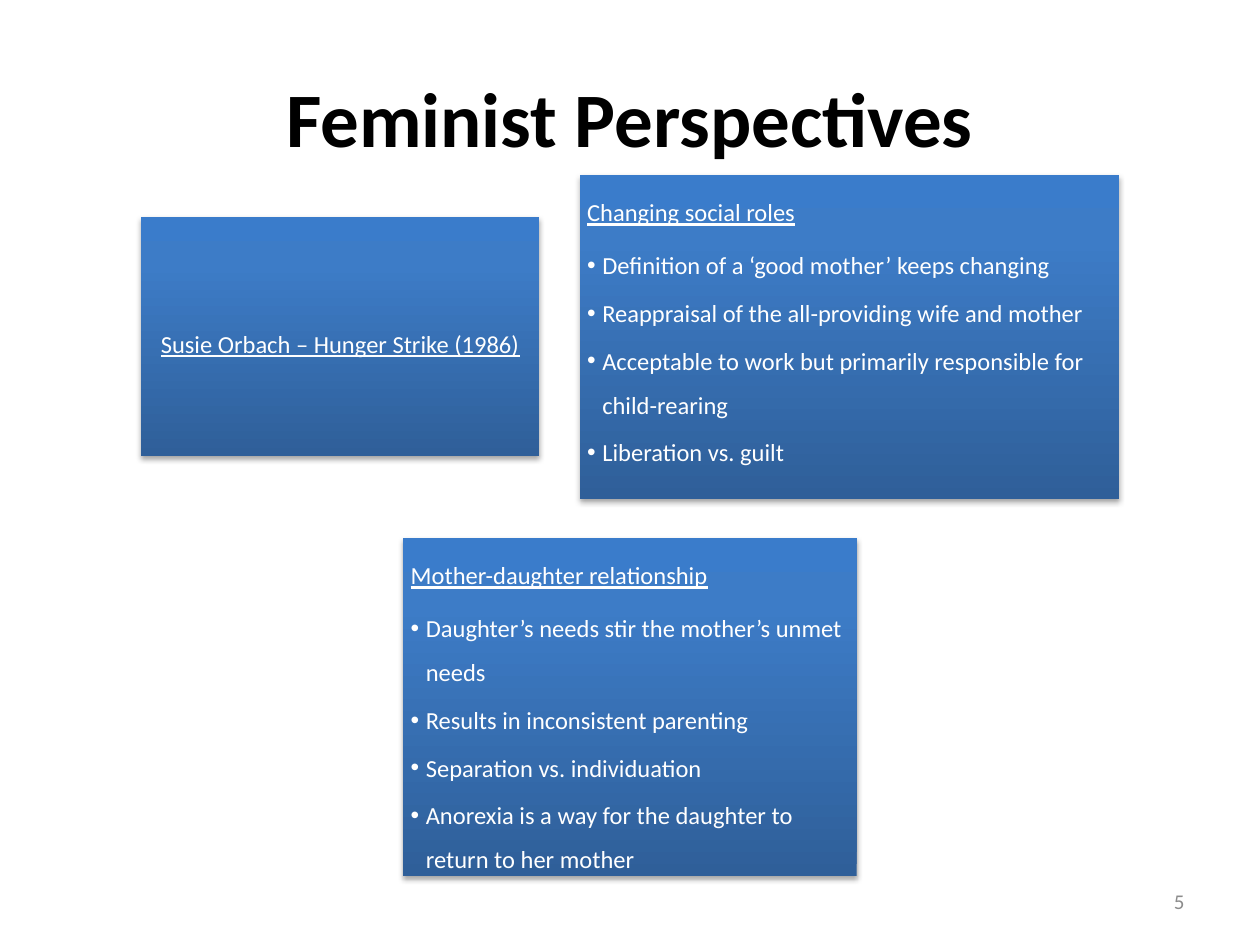
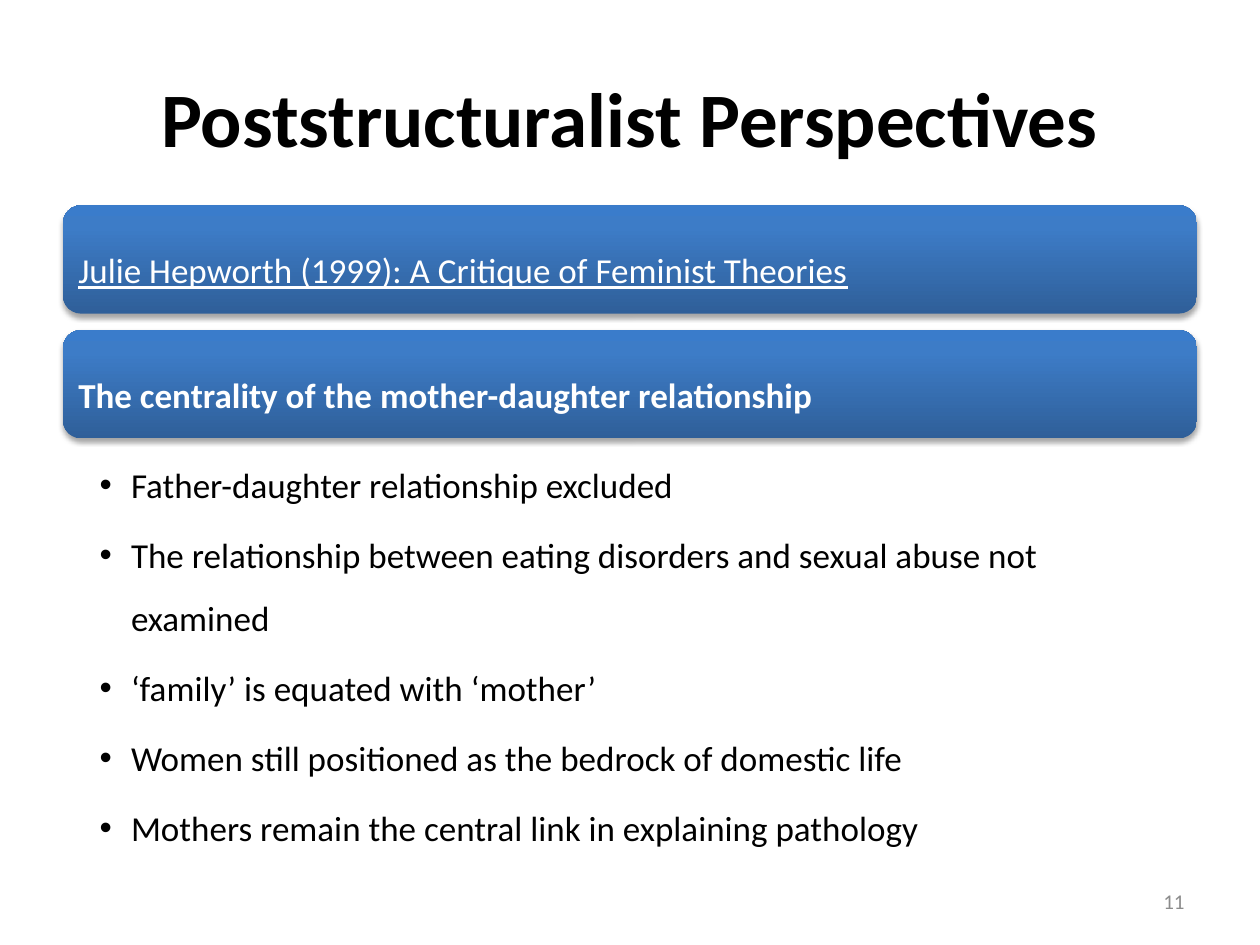
from copy import deepcopy
from dataclasses import dataclass

from pptx import Presentation
from pptx.dml.color import RGBColor
from pptx.enum.shapes import MSO_SHAPE
from pptx.enum.text import MSO_ANCHOR, PP_ALIGN
from pptx.oxml.ns import qn
from pptx.oxml.xmlchemy import OxmlElement
from pptx.util import Inches, Pt

RECT, ROUNDED = MSO_SHAPE.RECTANGLE, MSO_SHAPE.ROUNDED_RECTANGLE
TOP, MIDDLE = MSO_ANCHOR.TOP, MSO_ANCHOR.MIDDLE
LEFT, CENTER, RIGHT = PP_ALIGN.LEFT, PP_ALIGN.CENTER, PP_ALIGN.RIGHT

FONT = "Calibri"
COLORS = {
    "text": "000000",
    "white": "FFFFFF",
    "number": "8C8C8C",
    "shadow": "000000",
    "dark": "2F5F99",
    "mid": "3D7CC7",
    "bright": "3A7CCB",
}
GRADIENT = [(0, "dark"), (0.8, "mid"), (1, "bright")]


@dataclass
class Line:
    text: str
    size: float
    color: str = "white"
    bold: bool = False
    underline: bool = False
    align: int = LEFT
    spacing: float = 1
    after: float = 0  # share of the text size
    indent: float = 0  # inches; above zero gives a bullet


@dataclass
class Panel:
    left: float
    top: float
    width: float
    height: float
    lines: list[Line]
    anchor: int = TOP
    shape: int = RECT
    margin: float = 0.06


def heading(text: str, size: float, align=LEFT, bold: bool = False) -> Line:
    return Line(text, size, bold=bold, underline=not bold, align=align, spacing=1.5, after=0.35)


def bullets(texts: list[str], size: float, color: str, after: float, indent: float) -> list[Line]:
    return [Line(t, size, color, spacing=1.5, after=after, indent=indent) for t in texts]


def rgb(name: str) -> RGBColor:
    return RGBColor.from_string(COLORS[name])


def add_bullet(p, indent: float) -> None:
    p.level = 1
    pPr = p._p.get_or_add_pPr()
    pPr.set("marL", str(Inches(indent)))
    pPr.set("indent", str(-Inches(indent)))
    for tag, key, value in (("a:buFont", "typeface", "Arial"), ("a:buChar", "char", "•")):
        el = OxmlElement(tag)
        el.set(key, value)
        pPr.append(el)


def write(tf, lines: list[Line], anchor, margins: tuple = (0.1, 0.05, 0.1, 0.05)) -> None:
    tf.word_wrap = True
    tf.vertical_anchor = anchor
    tf.margin_left, tf.margin_top, tf.margin_right, tf.margin_bottom = map(Inches, margins)
    for i, line in enumerate(lines):
        p = tf.add_paragraph() if i else tf.paragraphs[0]
        p.alignment = line.align
        p.line_spacing = line.spacing
        p.space_after = Pt(line.after * line.size)
        if line.indent:
            add_bullet(p, line.indent)
        r = p.add_run()
        r.text = line.text
        r.font.name, r.font.size = FONT, Pt(line.size)
        r.font.bold, r.font.underline = line.bold, line.underline
        r.font.color.rgb = rgb(line.color)


def add_text(s, left: float, top: float, width: float, height: float, lines: list[Line],
             anchor=MIDDLE, **options) -> None:
    sp = s.shapes.add_textbox(*map(Inches, (left, top, width, height)))
    write(sp.text_frame, lines, anchor, **options)


def fill_gradient(sp) -> None:
    sp.fill.gradient()
    sp.fill.gradient_angle = 90
    stops = sp._element.spPr.find(".//" + qn("a:gsLst"))
    stops.append(deepcopy(stops[-1]))
    for stop, (position, name) in zip(sp.fill.gradient_stops, GRADIENT):
        stop.position = position
        stop.color.rgb = rgb(name)


def add_shadow(sp) -> None:
    sp.shadow.inherit = False
    shadow = OxmlElement("a:outerShdw")
    for key, value in (("blurRad", Pt(3.1)), ("dist", Pt(1.8)), ("dir", 90 * 60000), ("rotWithShape", 0)):
        shadow.set(key, str(int(value)))
    color, alpha = OxmlElement("a:srgbClr"), OxmlElement("a:alpha")
    color.set("val", COLORS["shadow"])
    alpha.set("val", "35000")
    color.append(alpha)
    shadow.append(color)
    sp._element.spPr.find(qn("a:effectLst")).append(shadow)


def add_panel(s, panel: Panel) -> None:
    box = (panel.left, panel.top, panel.width, panel.height)
    sp = s.shapes.add_shape(panel.shape, *map(Inches, box))
    fill_gradient(sp)
    sp.line.fill.background()
    add_shadow(sp)
    write(sp.text_frame, panel.lines, panel.anchor, (panel.margin,) * 4)


def add_slide(prs, title: str, number: int, panels: list[Panel]):
    s = prs.slides.add_slide(prs.slide_layouts[6])
    add_text(s, 0.5, 0.3, 9, 1.25, [Line(title, 44, "text", bold=True, align=CENTER)])
    add_text(s, 7.17, 6.95, 2.33, 0.4, [Line(str(number), 12, "number", align=RIGHT, after=0.5)])
    for panel in panels:
        add_panel(s, panel)
    return s


def main() -> None:
    prs = Presentation()
    prs.slide_width, prs.slide_height = Inches(10), Inches(7.5)

    # Feminist perspectives: three panels
    roles = [
        "Definition of a ‘good mother’ keeps changing",
        "Reappraisal of the all-providing wife and mother",
        "Acceptable to work but primarily responsible for child-rearing",
        "Liberation vs. guilt",
    ]
    relationship = [
        "Daughter’s needs stir the mother’s unmet needs",
        "Results in inconsistent parenting",
        "Separation vs. individuation",
        "Anorexia is a way for the daughter to return to her mother",
    ]
    small = dict(size=14, color="white", after=0.15, indent=0.12)
    add_slide(prs, "Feminist Perspectives", 5, [
        Panel(1.12, 1.72, 3.16, 1.9,
              [heading("Susie Orbach – Hunger Strike (1986)", 14, CENTER)], MIDDLE),
        Panel(4.6, 1.39, 4.28, 2.57,
              [heading("Changing social roles", 14), *bullets(roles, **small)]),
        Panel(3.2, 4.27, 3.6, 2.68,
              [heading("Mother-daughter relationship", 14), *bullets(relationship, **small)]),
    ])

    # Poststructuralist perspectives: two bars above a list
    bars = [
        heading("Julie Hepworth (1999): A Critique of Feminist Theories", 20),
        heading("The centrality of the mother-daughter relationship", 20, bold=True),
    ]
    s = add_slide(prs, "Poststructuralist Perspectives", 11, [
        Panel(0.5, 1.63 + 0.99 * i, 9, 0.86, [bar], MIDDLE, ROUNDED, 0.08)
        for i, bar in enumerate(bars)
    ])
    critique = [
        "Father-daughter relationship excluded",
        "The relationship between eating disorders and sexual abuse not examined",
        "‘family’ is equated with ‘mother’",
        "Women still positioned as the bedrock of domestic life",
        "Mothers remain the central link in explaining pathology",
    ]
    add_text(s, 0.5, 3.48, 9, 3.33, bullets(critique, 20, "text", 0.2, 0.25),
             TOP, margins=(0.29, 0.03, 0.16, 0.03))

    prs.save("out.pptx")


if __name__ == "__main__":
    main()
